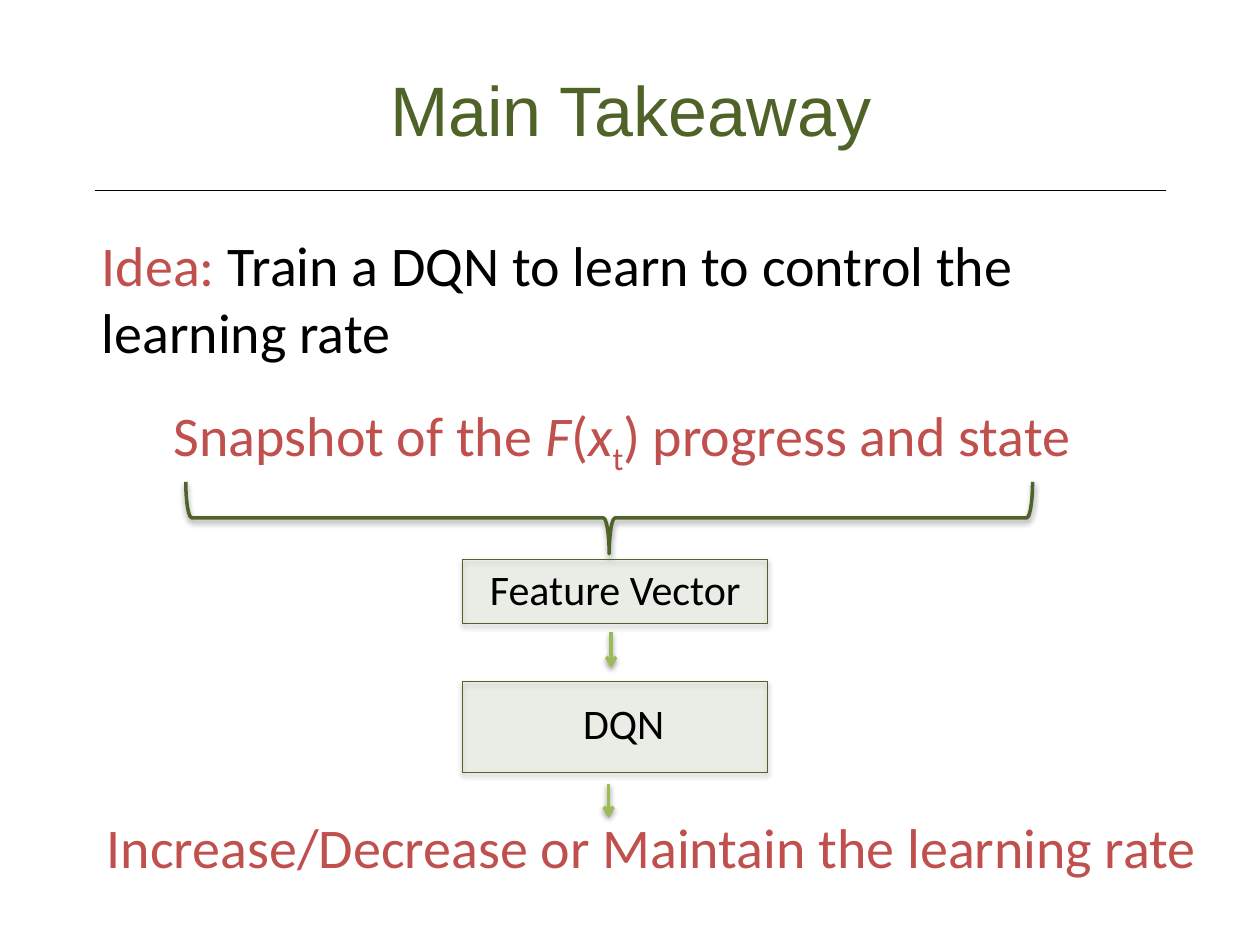
from lxml.etree import SubElement
from pptx import Presentation
from pptx.dml.color import RGBColor
from pptx.enum.shapes import MSO_CONNECTOR, MSO_SHAPE
from pptx.enum.text import MSO_ANCHOR, PP_ALIGN
from pptx.oxml.ns import qn
from pptx.util import Inches, Pt

BLACK = RGBColor(0x00, 0x00, 0x00)
DARK_GREEN = RGBColor(0x4F, 0x62, 0x28)
ARROW_GREEN = RGBColor(0x9B, 0xBB, 0x59)
BOX_GREEN = RGBColor(0xC3, 0xD6, 0x9B)
RED = RGBColor(0xC0, 0x50, 0x4D)


class TakeawaySlide:
    title_font = "Arial"
    body_font = "Calibri"

    def __init__(self, presentation):
        self.slide = presentation.slides.add_slide(presentation.slide_layouts[5])

    def add_run(self, paragraph, wording, size, color, font, italic=None, baseline=None):
        run = paragraph.add_run()
        run.text = wording
        run.font.size = Pt(size)
        run.font.name = font
        run.font.color.rgb = color
        run.font.italic = italic
        if baseline:
            run.font._element.set("baseline", str(baseline * 1000))

    def add_shadow(self, effects, opacity, distance):
        shadow = SubElement(
            effects, qn("a:outerShdw"), blurRad=str(Pt(3.15)), dist=str(Pt(distance)),
            dir="5400000", rotWithShape="0",
        )
        tint = SubElement(shadow, qn("a:srgbClr"), val=str(BLACK))
        SubElement(tint, qn("a:alpha"), val=str(opacity * 1000))

    def title(self, wording, left, top, width, height):
        heading = self.slide.shapes.title
        heading.left, heading.top = Inches(left), Inches(top)
        heading.width, heading.height = Inches(width), Inches(height)
        frame = heading.text_frame
        frame.vertical_anchor = MSO_ANCHOR.MIDDLE
        paragraph = frame.paragraphs[0]
        paragraph.alignment = PP_ALIGN.CENTER
        self.add_run(paragraph, wording, 40, DARK_GREEN, self.title_font)

    def text(self, runs, left, top, width, height, size=32):
        frame = self.slide.shapes.add_textbox(
            Inches(left), Inches(top), Inches(width), Inches(height)
        ).text_frame
        frame.word_wrap = True
        paragraph = frame.paragraphs[0]
        spacing = SubElement(paragraph._p.get_or_add_pPr(), qn("a:spcBef"))
        SubElement(spacing, qn("a:spcPct"), val="20000")
        for wording, color, *style in runs:
            self.add_run(paragraph, wording, size, color, self.body_font, *style)

    def shape(self, kind, left, top, width, height, line_width):
        shape = self.slide.shapes.add_shape(
            kind, Inches(left), Inches(top), Inches(width), Inches(height)
        )
        shape.shadow.inherit = False
        shape.line.color.rgb = DARK_GREEN
        shape.line.width = Pt(line_width)
        return shape

    def box(self, left, top, width, height):
        box = self.shape(MSO_SHAPE.RECTANGLE, left, top, width, height, 0.75)
        box.fill.solid()
        box.fill.fore_color.rgb = BOX_GREEN
        properties = box._element.spPr
        tint = properties.find(qn("a:solidFill")).find(qn("a:srgbClr"))
        SubElement(tint, qn("a:alpha"), val="15000")
        self.add_shadow(properties.find(qn("a:effectLst")), 35, 1.8)

    def brace(self, left, top, width, height):
        brace = self.shape(MSO_SHAPE.LEFT_BRACE, left, top, width, height, 2)
        brace.rotation = 270
        brace.fill.background()
        self.add_shadow(brace._element.spPr.find(qn("a:effectLst")), 38, 1.6)

    def line(self, start, end, color, width):
        line = self.slide.shapes.add_connector(
            MSO_CONNECTOR.STRAIGHT, *map(Inches, start), *map(Inches, end)
        )
        line.line.color.rgb = color
        line.line.width = Pt(width)
        return line, SubElement(line._element.spPr, qn("a:effectLst"))

    def arrow(self, x, top, bottom):
        arrow, effects = self.line((x, top), (x, bottom), ARROW_GREEN, 2)
        SubElement(arrow.line._get_or_add_ln(), qn("a:tailEnd"), type="arrow")
        self.add_shadow(effects, 38, 1.6)


def main():
    presentation = Presentation()
    presentation.slide_width = Inches(10)
    presentation.slide_height = Inches(7.5)

    takeaway = TakeawaySlide(presentation)
    takeaway.title("Main Takeaway", 0.38, 0.21, 9.25, 1.3)
    takeaway.line((0.75, 1.51), (9.25, 1.51), BLACK, 0.75)
    takeaway.text(
        [("Idea: ", RED), ("Train a DQN to learn to control the learning rate", BLACK)],
        0.71, 1.78, 9, 1.17,
    )
    takeaway.brace(4.55, 0.75, 0.57, 6.72)
    takeaway.arrow(4.85, 5.02, 5.3)
    takeaway.box(3.67, 5.41, 2.42, 0.72)
    takeaway.text(
        [("Increase/Decrease or Maintain the learning rate", RED)], 0.75, 6.4, 9, 0.84
    )
    takeaway.arrow(4.83, 6.22, 6.49)
    takeaway.text([("DQN", BLACK)], 4.53, 5.49, 1.12, 0.57, 24)
    takeaway.box(3.67, 4.44, 2.42, 0.51)
    takeaway.text([("Feature Vector", BLACK)], 3.79, 4.42, 2.42, 0.57, 24)
    takeaway.text(
        [
            ("Snapshot of the ", RED),
            ("F", RED, True),
            ("(", RED),
            ("x", RED, True),
            ("t", RED, False, -25),
            (") progress and state", RED),
        ],
        1.28, 3.13, 9, 1.17,
    )
    presentation.save("out.pptx")


if __name__ == "__main__":
    main()
